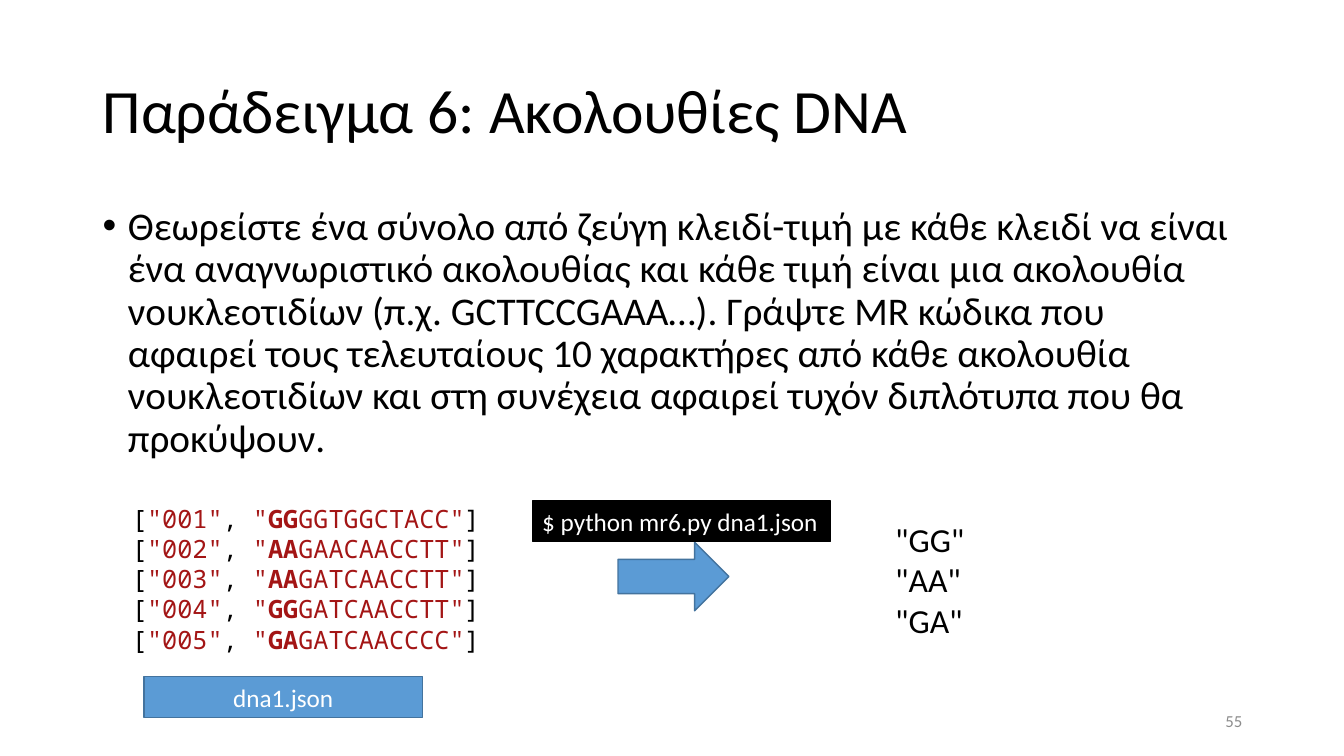
from lxml.etree import SubElement
from pptx import Presentation
from pptx.dml.color import RGBColor
from pptx.enum.shapes import MSO_SHAPE
from pptx.enum.text import MSO_ANCHOR, PP_ALIGN
from pptx.oxml.ns import qn
from pptx.util import Inches, Pt

BLACK = RGBColor(0x00, 0x00, 0x00)
WHITE = RGBColor(0xFF, 0xFF, 0xFF)
GREY = RGBColor(0x8C, 0x8C, 0x8C)
BLUE = RGBColor(0x5B, 0x9B, 0xD5)
NAVY = RGBColor(0x43, 0x73, 0x9E)
CRIMSON = RGBColor(0xA3, 0x15, 0x15)
SANS, MONO = "Calibri", "Noto Sans Mono"

TITLE = "Παράδειγμα 6: Ακολουθίες DNA"
TASK = (
    "Θεωρείστε ένα σύνολο από ζεύγη κλειδί-τιμή με κάθε κλειδί να είναι ένα "
    "αναγνωριστικό ακολουθίας και κάθε τιμή είναι μια ακολουθία νουκλεοτιδίων "
    "(π.χ. GCTTCCGAAA…). Γράψτε MR κώδικα που αφαιρεί τους τελευταίους 10 "
    "χαρακτήρες από κάθε ακολουθία νουκλεοτιδίων και στη συνέχεια αφαιρεί "
    "τυχόν διπλότυπα που θα προκύψουν."
)
SEQUENCES = ["GGGGTGGCTACC", "AAGAACAACCTT", "AAGATCAACCTT", "GGGATCAACCTT", "GAGATCAACCCC"]
KEPT = 2


def write(paragraph, text, size, color=BLACK, font=SANS, bold=False):
    """Append one formatted run to a paragraph."""
    run = paragraph.add_run()
    run.text = text
    for name, value in {"name": font, "size": Pt(size), "bold": bold}.items():
        setattr(run.font, name, value)
    run.font.color.rgb = color


def add_frame(slide, box, anchor=MSO_ANCHOR.TOP):
    """Add a wrapping text box and return its text frame."""
    frame = slide.shapes.add_textbox(*map(Inches, box)).text_frame
    frame.word_wrap = True
    frame.vertical_anchor = anchor
    return frame


def add_lines(frame, count):
    """Return the given number of paragraphs in an empty frame."""
    return [frame.paragraphs[0]] + [frame.add_paragraph() for _ in range(count - 1)]


def add_block(slide, preset, box, fill, outline):
    """Add a flat filled shape and return it."""
    block = slide.shapes.add_shape(preset, *map(Inches, box))
    block.shadow.inherit = False
    block.fill.solid()
    block.fill.fore_color.rgb = fill
    block.line.color.rgb = outline
    block.line.width = Pt(1)
    return block


def add_label(slide, box, text, fill, outline, align):
    """Add a filled rectangle with one line of white text."""
    frame = add_block(slide, MSO_SHAPE.RECTANGLE, box, fill, outline).text_frame
    frame.word_wrap = align == PP_ALIGN.CENTER
    frame.paragraphs[0].alignment = align
    write(frame.paragraphs[0], text, 18, WHITE)


def add_heading(slide, box):
    """Place the slide title."""
    heading = add_frame(slide, box, MSO_ANCHOR.MIDDLE).paragraphs[0]
    heading.line_spacing = 0.9
    write(heading, TITLE, 44)


def add_task(slide, box):
    """Place the bulleted exercise statement."""
    task = add_frame(slide, box).paragraphs[0]
    task.line_spacing = 0.9
    properties = task._p.get_or_add_pPr()
    properties.set("marL", str(Inches(0.25)))
    properties.set("indent", str(Inches(-0.25)))
    SubElement(properties, qn("a:buFont"), typeface="Arial")
    SubElement(properties, qn("a:buChar"), char="•")
    write(task, TASK, 28)


def add_input(slide, box):
    """Place the JSON records and the file label below them."""
    left, top, width, height = box
    records = add_lines(add_frame(slide, box), len(SEQUENCES))
    for number, (record, sequence) in enumerate(zip(records, SEQUENCES), 1):
        for text, color, bold in (
            ("[", BLACK, False),
            (f'"{number:03}"', CRIMSON, False),
            (", ", BLACK, False),
            ('"', CRIMSON, False),
            (sequence[:KEPT], CRIMSON, True),
            (sequence[KEPT:] + '"', CRIMSON, False),
            ("]", BLACK, False),
        ):
            write(record, text, 18, color, MONO, bold)
    label = (left + 0.22, top + height + 0.15, 2.76, 0.41)
    add_label(slide, label, "dna1.json", BLUE, NAVY, PP_ALIGN.CENTER)


def add_command(slide, box):
    """Place the arrow and the command that stands on it."""
    left, top, width, height = box
    arrow = (left + 0.85, top + 0.41, 1.1, height - 0.41)
    add_block(slide, MSO_SHAPE.RIGHT_ARROW, arrow, BLUE, NAVY)
    command = (left, top, width, 0.4)
    add_label(slide, command, "$ python mr6.py dna1.json", BLACK, BLACK, PP_ALIGN.LEFT)


def add_output(slide, box):
    """Place the distinct trimmed sequences."""
    distinct = list(dict.fromkeys(sequence[:KEPT] for sequence in SEQUENCES))
    for line, prefix in zip(add_lines(add_frame(slide, box), len(distinct)), distinct):
        write(line, f'"{prefix}"', 24)


def add_page_number(slide, box):
    """Place the slide number."""
    number = add_frame(slide, box, MSO_ANCHOR.MIDDLE).paragraphs[0]
    number.alignment = PP_ALIGN.RIGHT
    write(number, "55", 12, GREY)


def main():
    """Build and save the slide."""
    deck = Presentation()
    deck.slide_width, deck.slide_height = Inches(13.33), Inches(7.5)
    slide = deck.slides.add_slide(deck.slide_layouts[6])
    add_heading(slide, (0.92, 0.4, 11.5, 1.45))
    add_task(slide, (0.92, 2, 11.5, 2.8))
    add_input(slide, (1.21, 4.94, 3.65, 1.62))
    add_output(slide, (8.78, 5.1, 1.02, 1.31))
    add_command(slide, (5.28, 4.97, 2.96, 1.09))
    add_page_number(slide, (9.42, 6.95, 3, 0.4))
    deck.save("out.pptx")


if __name__ == "__main__":
    main()
